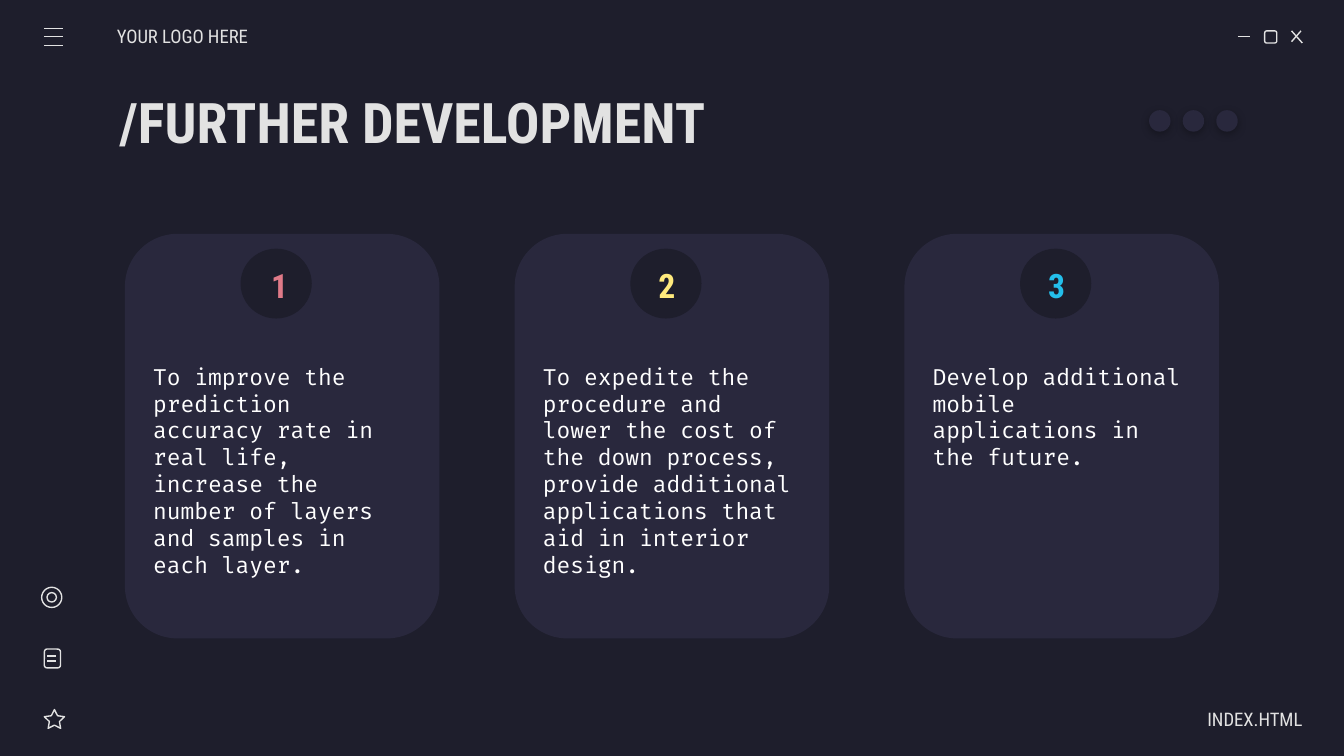
"""Build the dark "Further development" slide with three numbered cards."""
from dataclasses import dataclass

from lxml import etree
from pptx import Presentation
from pptx.dml.color import RGBColor
from pptx.enum import shapes, text
from pptx.oxml import ns
from pptx.util import Inches, Pt

COLORS = {
    "night": "1E1E2C", "panel": "29283D", "light": "E2E2E2", "white": "FFFFFF",
    "pink": "E07A88", "yellow": "FFEA7D", "blue": "24BFEB",
}
HEADING_FONT = "Roboto Condensed"
BODY_FONT = "Fira Code"
FORMS = shapes.MSO_SHAPE
ALIGN = text.PP_ALIGN


@dataclass
class Area:
    left: float
    top: float
    width: float
    height: float

    def lengths(self):
        return [Inches(n) for n in (self.left, self.top, self.width, self.height)]


@dataclass
class Style:
    size: float
    color: str
    font: str = HEADING_FONT
    bold: bool = False


@dataclass
class Card:
    number: str
    color: str
    number_offset: float
    body_height: float
    body: str


@dataclass
class Stroke:
    x1: float
    y1: float
    x2: float
    y2: float


@dataclass
class Outline:
    form: int
    area: Area


CARDS = [
    Card("1", "pink", 0.99, 1.51,
         "To improve the prediction accuracy rate in real life, increase the "
         "number of layers and samples in each layer."),
    Card("2", "yellow", 0.97, 1.72,
         "To expedite the procedure and lower the cost of the down process, "
         "provide additional applications that aid in interior design."),
    Card("3", "blue", 0.97, 0.71,
         "Develop additional mobile applications in the future."),
]
WINDOW_STROKES = [
    Stroke(9.21, 0.27, 9.3, 0.27),
    Stroke(9.61, 0.23, 9.69, 0.32),
    Stroke(9.68, 0.23, 9.61, 0.31),
]
MENU_STROKES = [Stroke(0.33, y, 0.47, y) for y in (0.21, 0.27, 0.34)]
NOTE_STROKES = [Stroke(0.35, y, 0.42, y) for y in (4.88, 4.92)]
ICON_OUTLINES = [
    Outline(FORMS.ROUNDED_RECTANGLE, Area(9.41, 0.23, 0.09, 0.09)),
    Outline(FORMS.ROUNDED_RECTANGLE, Area(0.33, 4.83, 0.12, 0.14)),
    Outline(FORMS.OVAL, Area(0.31, 4.37, 0.15, 0.15)),
    Outline(FORMS.OVAL, Area(0.35, 4.41, 0.07, 0.07)),
]
STAR = Outline(FORMS.STAR_5_POINT, Area(0.33, 5.28, 0.15, 0.14))


def rgb(name: str) -> RGBColor:
    return RGBColor.from_string(COLORS[name])


def add_filled(page, form: int, area: Area, color: str):
    shape = page.shapes.add_shape(form, *area.lengths())
    shape.shadow.inherit = False
    shape.fill.solid()
    shape.fill.fore_color.rgb = rgb(color)
    shape.line.fill.background()
    return shape


def add_outline(page, outline: Outline):
    shape = page.shapes.add_shape(outline.form, *outline.area.lengths())
    shape.shadow.inherit = False
    shape.fill.background()
    shape.line.color.rgb = rgb("light")
    shape.line.width = Pt(0.75)
    return shape


def add_stroke(page, stroke: Stroke) -> None:
    ends = [Inches(n) for n in (stroke.x1, stroke.y1, stroke.x2, stroke.y2)]
    line = page.shapes.add_connector(shapes.MSO_CONNECTOR.STRAIGHT, *ends)
    line.line.color.rgb = rgb("light")
    line.line.width = Pt(0.75)
    etree.SubElement(line._element.spPr, ns.qn("a:effectLst"))


def add_text(page, area: Area, wording: str, style: Style, align=ALIGN.LEFT,
             insets=(0.1, 0.1, 0.1, 0.1), middle: bool = True) -> None:
    box = page.shapes.add_textbox(*area.lengths())
    frame = box.text_frame
    frame.word_wrap = True
    (frame.margin_left, frame.margin_top,
     frame.margin_right, frame.margin_bottom) = map(Inches, insets)
    if middle:
        frame.vertical_anchor = text.MSO_ANCHOR.MIDDLE
    else:
        frame.auto_size = text.MSO_AUTO_SIZE.SHAPE_TO_FIT_TEXT
    para = frame.paragraphs[0]
    para.text = wording
    para.alignment = align
    para.font.name = style.font
    para.font.size = Pt(style.size)
    para.font.bold = style.bold
    para.font.color.rgb = rgb(style.color)


def add_soft_shadow(shape) -> None:
    effects = shape._element.spPr.find(ns.qn("a:effectLst"))
    shadow = etree.SubElement(effects, ns.qn("a:outerShdw"), blurRad=str(Pt(4.5)),
                              dist=str(Pt(1.5)), dir="5400000", rotWithShape="0")
    color = etree.SubElement(shadow, ns.qn("a:srgbClr"), val="000000")
    etree.SubElement(color, ns.qn("a:alpha"), val="30000")


def add_card(page, left: float, card: Card) -> None:
    insets = (0.1, 0.05, 0.1, 0.05)
    add_filled(page, FORMS.ROUNDED_RECTANGLE, Area(left, 1.74, 2.34, 3.01), "panel")
    add_text(page, Area(left + 0.11, 2.65, 2.12, card.body_height), card.body,
             Style(12, "white", BODY_FONT), insets=insets, middle=False)
    add_filled(page, FORMS.OVAL, Area(left + 0.86, 1.85, 0.53, 0.52), "night")
    add_text(page, Area(left + card.number_offset, 1.92, 0.27, 0.4), card.number,
             Style(18, card.color, bold=True), insets=insets, middle=False)


def main() -> None:
    deck = Presentation()
    deck.slide_width = Inches(10)
    deck.slide_height = deck.slide_width * 9 // 16
    page = deck.slides.add_slide(deck.slide_layouts[6])
    page.background.fill.solid()
    page.background.fill.fore_color.rgb = rgb("night")

    for stroke in WINDOW_STROKES + MENU_STROKES + NOTE_STROKES:
        add_stroke(page, stroke)
    for outline in ICON_OUTLINES:
        add_outline(page, outline)
    add_outline(page, STAR).adjustments[0] = 0.25

    label = Style(10, "light")
    add_text(page, Area(0.87, 0.12, 1.17, 0.3), "YOUR LOGO HERE", label,
             insets=(0, 0.1, 0.1, 0.1))
    add_text(page, Area(8.52, 5.2, 1.17, 0.3), "INDEX.HTML", label, ALIGN.RIGHT,
             insets=(0.1, 0.1, 0, 0.1))
    add_text(page, Area(0.79, 0.59, 8.43, 0.63), "/FURTHER DEVELOPMENT",
             Style(30, "light", bold=True))

    for index in range(3):
        dot = Area(8.55 + 0.25 * index, 0.82, 0.16, 0.16)
        add_soft_shadow(add_filled(page, FORMS.OVAL, dot, "panel"))
    for index, card in enumerate(CARDS):
        add_card(page, 0.93 + 2.9 * index, card)

    deck.save("out.pptx")


if __name__ == "__main__":
    main()
